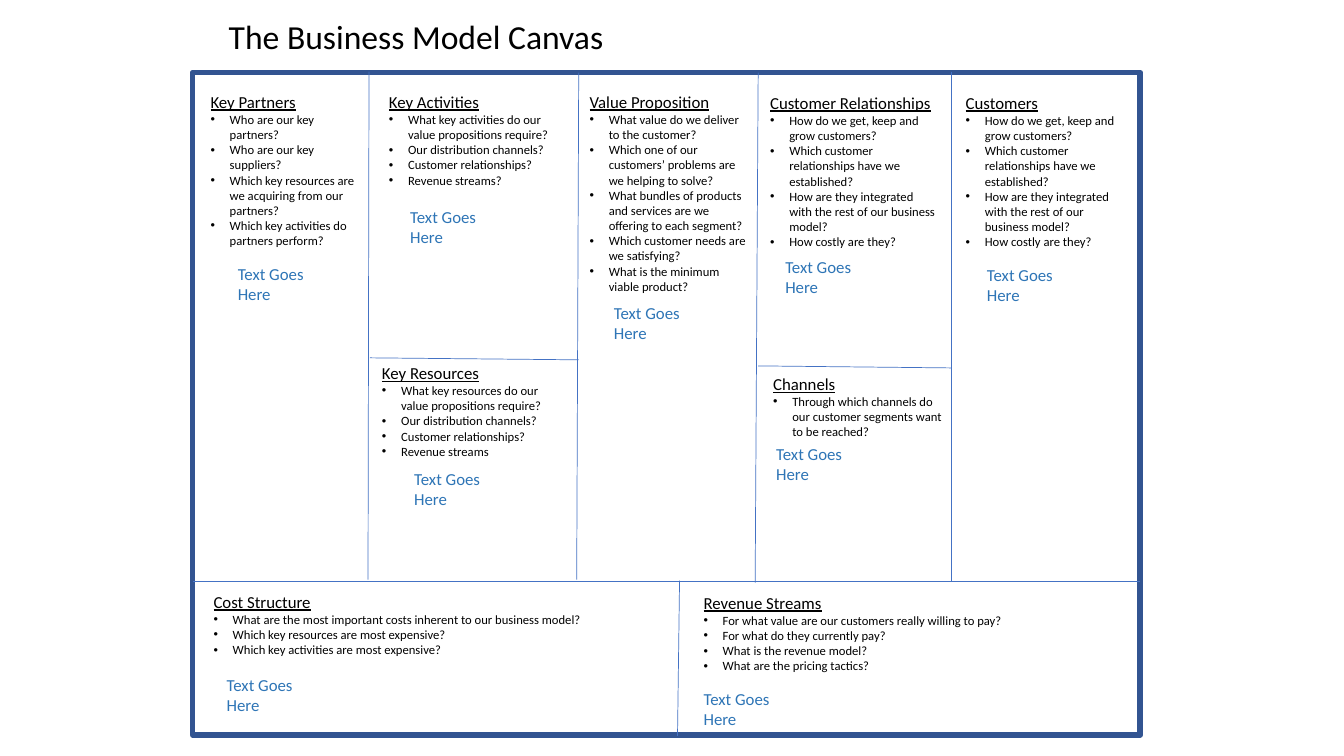
from dataclasses import dataclass

import lxml.etree
import pptx
import pptx.dml.color
import pptx.enum.shapes
import pptx.enum.text
import pptx.oxml.ns
import pptx.slide
import pptx.text.text
import pptx.util

FONT = "Calibri"
BLACK = "000000"
FRAME_BLUE = "325491"
DIVIDER_BLUE = "4472C4"
ANSWER_BLUE = "2E75B6"
BULLET_INDENT = 0.19
ANSWER_WIDTH = 1.11
ANSWER_HEIGHT = 0.5


@dataclass
class Section:
    title: str
    left: float
    top: float
    width: float
    height: float
    questions: list[str]
    answer_left: float
    answer_top: float


@dataclass
class Divider:
    x1: float
    y1: float
    x2: float
    y2: float


DIVIDERS = [
    Divider(1.91, 5.77, 11.31, 5.77),
    Divider(3.66, 0.71, 3.65, 5.75),
    Divider(9.44, 0.71, 9.44, 5.77),
    Divider(5.74, 0.72, 5.72, 5.75),
    Divider(7.52, 0.72, 7.49, 5.78),
    Divider(7.52, 3.63, 9.44, 3.65),
    Divider(3.67, 3.55, 5.74, 3.57),
    Divider(6.74, 5.76, 6.72, 7.3),
]

SUPPLY_QUESTIONS = [
    "Our distribution channels?",
    "Customer relationships?",
]
CUSTOMER_QUESTIONS = [
    "How do we get, keep and grow customers?",
    "Which customer relationships have we established?",
    "How are they integrated with the rest of our business model?",
    "How costly are they?",
]

SECTIONS = [
    Section("Cost Structure", 2.02, 5.82, 4.56, 0.96, [
        "What are the most important costs inherent to our business model?",
        "Which key resources are most expensive?",
        "Which key activities are most expensive?",
    ], 2.15, 6.64),
    Section("Key Partners", 1.99, 0.86, 1.63, 2.07, [
        "Who are our key partners?",
        "Who are our key suppliers?",
        "Which key resources are we acquiring from our partners?",
        "Which key activities do partners perform?",
    ], 2.26, 2.57),
    Section("Key Activities", 3.76, 0.86, 1.87, 1.26, [
        "What key activities do our value propositions require?",
        *SUPPLY_QUESTIONS,
        "Revenue streams?",
    ], 3.97, 2),
    Section("Key Resources", 3.69, 3.55, 2.01, 1.26, [
        "What key resources do our value propositions require?",
        *SUPPLY_QUESTIONS,
        "Revenue streams",
    ], 4.01, 4.6),
    Section("Customers", 9.48, 0.87, 1.73, 1.87, CUSTOMER_QUESTIONS, 9.69, 2.58),
    Section("Customer Relationships", 7.54, 0.87, 1.84, 1.87,
            CUSTOMER_QUESTIONS, 7.69, 2.5),
    Section("Channels", 7.57, 3.66, 1.87, 0.91, [
        "Through which channels do our customer segments want to be reached?",
    ], 7.6, 4.35),
    Section("Value Proposition", 5.75, 0.86, 1.77, 2.32, [
        "What value do we deliver to the customer?",
        "Which one of our customers’ problems are we helping to solve?",
        "What bundles of products and services are we offering to each segment?",
        "Which customer needs are we satisfying?",
        "What is the minimum viable product?",
    ], 5.99, 2.95),
    Section("Revenue Streams", 6.88, 5.83, 4.16, 1.11, [
        "For what value are our customers really willing to pay?",
        "For what do they currently pay?",
        "What is the revenue model?",
        "What are the pricing tactics?",
    ], 6.88, 6.78),
]


def color(value: str) -> pptx.dml.color.RGBColor:
    return pptx.dml.color.RGBColor.from_string(value)


def style(para: pptx.text.text._Paragraph, size: float, shade: str,
          underline: bool = False) -> None:
    para.font.name = FONT
    para.font.size = pptx.util.Pt(size)
    para.font.color.rgb = color(shade)
    para.font.underline = underline


def add_bullet(para: pptx.text.text._Paragraph) -> None:
    properties = para._p.get_or_add_pPr()
    indent = pptx.util.Inches(BULLET_INDENT)
    properties.set("marL", str(indent))
    properties.set("indent", str(-indent))
    font = lxml.etree.SubElement(properties, pptx.oxml.ns.qn("a:buFont"))
    font.set("typeface", "Arial")
    bullet = lxml.etree.SubElement(properties, pptx.oxml.ns.qn("a:buChar"))
    bullet.set("char", "•")


def add_text(page: pptx.slide.Slide, left: float, top: float, width: float,
             height: float, text: str, size: float, shade: str,
             underline: bool = False) -> pptx.text.text.TextFrame:
    box = page.shapes.add_textbox(
        pptx.util.Inches(left), pptx.util.Inches(top),
        pptx.util.Inches(width), pptx.util.Inches(height))
    frame = box.text_frame
    frame.word_wrap = True
    frame.auto_size = pptx.enum.text.MSO_AUTO_SIZE.SHAPE_TO_FIT_TEXT
    para = frame.paragraphs[0]
    para.text = text
    style(para, size, shade, underline)
    return frame


def add_section(page: pptx.slide.Slide, section: Section) -> None:
    frame = add_text(page, section.left, section.top, section.width,
                     section.height, section.title, 12, BLACK, True)
    for question in section.questions:
        para = frame.add_paragraph()
        para.text = question
        add_bullet(para)
        style(para, 9, BLACK)
    add_text(page, section.answer_left, section.answer_top, ANSWER_WIDTH,
             ANSWER_HEIGHT, "Text Goes Here", 12, ANSWER_BLUE)


def add_divider(page: pptx.slide.Slide, divider: Divider) -> None:
    line = page.shapes.add_connector(
        pptx.enum.shapes.MSO_CONNECTOR.STRAIGHT,
        pptx.util.Inches(divider.x1), pptx.util.Inches(divider.y1),
        pptx.util.Inches(divider.x2), pptx.util.Inches(divider.y2))
    line.line.color.rgb = color(DIVIDER_BLUE)
    line.line.width = pptx.util.Pt(0.5)
    lxml.etree.SubElement(line._element.spPr, pptx.oxml.ns.qn("a:effectLst"))


def add_frame(page: pptx.slide.Slide) -> None:
    border = page.shapes.add_shape(
        pptx.enum.shapes.MSO_SHAPE.RECTANGLE,
        pptx.util.Inches(1.91), pptx.util.Inches(0.72),
        pptx.util.Inches(9.4), pptx.util.Inches(6.57))
    border.shadow.inherit = False
    border.fill.background()
    border.line.color.rgb = color(FRAME_BLUE)
    border.line.width = pptx.util.Pt(4)


def main() -> None:
    deck = pptx.Presentation()
    deck.slide_width = pptx.util.Inches(13.33)
    deck.slide_height = pptx.util.Inches(7.5)
    page = deck.slides.add_slide(deck.slide_layouts[6])
    add_text(page, 2.17, 0.11, 4.39, 0.5, "The Business Model Canvas", 24, BLACK)
    add_frame(page)
    for divider in DIVIDERS:
        add_divider(page, divider)
    for section in SECTIONS:
        add_section(page, section)
    deck.save("out.pptx")


if __name__ == "__main__":
    main()
